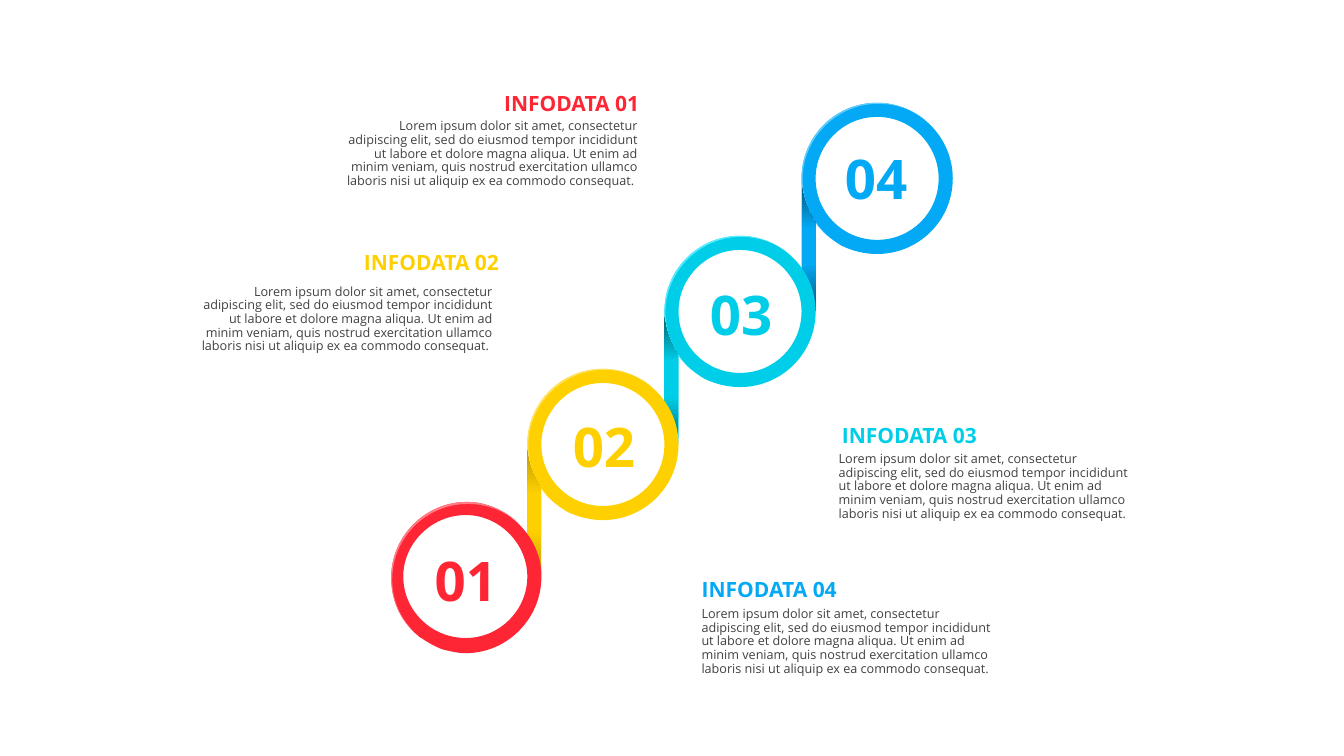
from lxml import etree
from pptx import Presentation
from pptx.dml.color import RGBColor
from pptx.enum.text import MSO_AUTO_SIZE, PP_ALIGN
from pptx.oxml.ns import qn
from pptx.util import Inches, Pt

LEFT, CENTER, RIGHT = PP_ALIGN.LEFT, PP_ALIGN.CENTER, PP_ALIGN.RIGHT
FIT, NO_FIT = MSO_AUTO_SIZE.SHAPE_TO_FIT_TEXT, MSO_AUTO_SIZE.NONE

FONT = "Open Sans"
BODY_COLOR = "414042"
BODY = (
    "Lorem ipsum dolor sit amet, consectetur adipiscing elit, sed do eiusmod "
    "tempor incididunt ut labore et dolore magna aliqua. Ut enim ad minim veniam, "
    "quis nostrud exercitation ullamco laboris nisi ut aliquip ex ea commodo consequat."
)

# An outline is a list of contours relative to the ring's corner. A contour is
# a start, then curves (two controls and an end) or straight lines (an end).
RING = [
    [
        [(0.75, 0)],
        [(0.33, 0), (0, 0.34), (0, 0.75)],
        [(0, 0.77), (0, 0.8), (0, 0.8)],
        [(0, 1.64)],
        [(0.09, 1.76), (0.14, 1.91), (0.14, 2.07)],
        [(0.14, 1.19)],
        [(0.2, 1.28), (0.3, 1.36), (0.4, 1.42)],
        [(0.51, 1.47), (0.62, 1.5), (0.75, 1.5)],
        [(1.16, 1.5), (1.5, 1.17), (1.5, 0.75)],
        [(1.5, 0.34), (1.16, 0), (0.75, 0)],
    ],
    [
        [(0.75, 1.36)],
        [(0.41, 1.36), (0.14, 1.09), (0.14, 0.75)],
        [(0.14, 0.42), (0.41, 0.14), (0.75, 0.14)],
        [(1.09, 0.14), (1.36, 0.42), (1.36, 0.75)],
        [(1.36, 1.09), (1.09, 1.36), (0.75, 1.36)],
    ],
]
GLINT = [[
    [(0.01, 0.76)],
    [(0.01, 0.35), (0.35, 0.01), (0.76, 0.01)],
    [(0.94, 0.01), (1.1, 0.07), (1.23, 0.17)],
    [(1.1, 0.07), (0.93, 0), (0.75, 0)],
    [(0.33, 0), (0, 0.34), (0, 0.75)],
    [(0, 0.99), (0.11, 1.2), (0.28, 1.34)],
    [(0.12, 1.2), (0.01, 0.99), (0.01, 0.76)],
]]
STEM = [[
    [(0, 0.8)],
    [(0, 1.64)],
    [(0.09, 1.76), (0.14, 1.91), (0.14, 2.07)],
    [(0.14, 1.19)],
    [(0.06, 1.07), (0.01, 0.94), (0, 0.8)],
]]
FIRST_RING = [
    [
        [(1.21, 0.17)],
        [(1.09, 0.07), (0.93, 0), (0.75, 0)],
        [(0.34, 0), (0, 0.34), (0, 0.75)],
        [(0, 0.99), (0.1, 1.19), (0.27, 1.33)],
        [(0.28, 1.34), (0.29, 1.35), (0.3, 1.35)],
        [(0.37, 1.4), (0.43, 1.43), (0.5, 1.46)],
        [(0.58, 1.48), (0.65, 1.5), (0.74, 1.5)],
        [(1.15, 1.5), (1.49, 1.16), (1.49, 0.74)],
        [(1.49, 0.51), (1.38, 0.31), (1.21, 0.17)],
    ],
    [
        [(0.74, 1.35)],
        [(0.4, 1.35), (0.12, 1.08), (0.12, 0.74)],
        [(0.12, 0.41), (0.4, 0.13), (0.74, 0.13)],
        [(1.07, 0.13), (1.35, 0.41), (1.35, 0.74)],
        [(1.35, 1.08), (1.07, 1.35), (0.74, 1.35)],
    ],
]
FIRST_GLINT = [[
    [(0.01, 0.77)],
    [(0.01, 0.35), (0.35, 0.02), (0.76, 0.02)],
    [(0.94, 0.02), (1.1, 0.08), (1.23, 0.18)],
    [(1.24, 0.19), (1.26, 0.21), (1.28, 0.23)],
    [(1.26, 0.21), (1.24, 0.19), (1.22, 0.17)],
    [(1.09, 0.07), (0.93, 0), (0.75, 0)],
    [(0.34, 0), (0, 0.34), (0, 0.75)],
    [(0, 0.96), (0.08, 1.15), (0.22, 1.28)],
    [(0.09, 1.15), (0.01, 0.97), (0.01, 0.77)],
]]

# colour, glint, stem shade, then left and top of the ring, number, heading
# and body, and the body's alignment
STEPS = [
    ("FE2635", "FE7D86", None,
     (3.88, 4.98), (4.31, 5.43), (5, 0.9), (3.32, 1.14), RIGHT),
    ("FFD000", "FFE366", "BF9C00",
     (5.23, 3.66), (5.68, 4.1), (3.61, 2.48), (1.88, 2.78), RIGHT),
    ("00CEE8", "58ECFF", "006774",
     (6.59, 2.34), (7.04, 2.79), (8.35, 4.19), (8.22, 4.44), LEFT),
    ("03A9F4", "63CDFD", "01557A",
     (7.95, 1.02), (8.38, 1.44), (6.96, 5.72), (6.86, 5.98), LEFT),
]


def rgb(color):
    return RGBColor.from_string(color)


def paint(s, color):
    s.shadow.inherit = False
    s.line.fill.background()
    s.fill.solid()
    s.fill.fore_color.rgb = rgb(color)


def paint_gradient(s, color, shade):
    """Fill from shade through color back to shade, top to bottom."""
    paint(s, color)
    s.fill.gradient()
    s.fill.gradient_angle = 270
    stops = s._element.spPr.find(qn("a:gradFill")).find(qn("a:gsLst"))
    for stop in list(stops):
        stops.remove(stop)
    for percent, value in ((0, shade), (35, color), (63, color), (100, shade)):
        stop = etree.SubElement(stops, qn("a:gs"), pos=str(percent * 1000))
        etree.SubElement(stop, qn("a:srgbClr"), val=value)


def bend(s, outline):
    """Merge each run of three lines that stands for a curve into one curve."""
    lines = iter(list(s._element.iter(qn("a:lnTo"))))
    for contour in outline:
        for segment in contour[1:]:
            parts = [next(lines) for _ in segment]
            if len(parts) == 3:
                curve = etree.Element(qn("a:cubicBezTo"))
                parts[0].addprevious(curve)
                for part in parts:
                    curve.append(part[0])
                    part.getparent().remove(part)


def add_outline(slide, outline, at):
    builder = None
    for contour in outline:
        start, *points = [
            (Inches(at[0] + x), Inches(at[1] + y))
            for segment in contour for x, y in segment
        ]
        if builder:
            builder.move_to(*start)
        else:
            builder = slide.shapes.build_freeform(*start)
        builder.add_line_segments(points, close=True)
    s = builder.convert_to_shape()
    bend(s, outline)
    return s


def add_ring(slide, at, color, glint, shade):
    """The lowest ring has no stem, so no shade."""
    paint(add_outline(slide, RING if shade else FIRST_RING, at), color)
    paint(add_outline(slide, GLINT if shade else FIRST_GLINT, at), glint)
    if shade:
        paint_gradient(add_outline(slide, STEM, at), color, shade)


def add_text(slide, text, at, size, *, pt, color, bold=False, align=LEFT,
             spacing=None, wrap=False):
    """Wrapped boxes keep their size and margins; others hug the text."""
    s = slide.shapes.add_textbox(*map(Inches, at + size))
    tf = s.text_frame
    tf.word_wrap = wrap
    tf.auto_size = NO_FIT if wrap else FIT
    if not wrap:
        tf.margin_left = tf.margin_right = tf.margin_top = tf.margin_bottom = 0
    p = tf.paragraphs[0]
    p.alignment = align
    p.line_spacing = spacing
    r = p.add_run()
    r.text = text
    r.font.name, r.font.size, r.font.bold = FONT, Pt(pt), bold
    r.font.color.rgb = rgb(color)


def main():
    prs = Presentation()
    prs.slide_width, prs.slide_height = Inches(13.33), Inches(7.5)
    slide = prs.slides.add_slide(prs.slide_layouts[6])
    for color, glint, shade, ring, *_ in reversed(STEPS):
        add_ring(slide, ring, color, glint, shade)
    for n, (color, _, _, _, number, heading, body, align) in enumerate(STEPS, 1):
        add_text(slide, f"{n:02}", number, (0.62, 0.66), pt=39, color=color,
                 bold=True, align=CENTER)
        add_text(slide, f"INFODATA {n:02}", heading, (1.35, 0.25), pt=15,
                 color=color, bold=True)
        text = BODY + " " if align == RIGHT else BODY
        add_text(slide, text, body, (3.1, 1.06), pt=9, color=BODY_COLOR,
                 align=align, spacing=0.9, wrap=True)
    prs.save("out.pptx")


if __name__ == "__main__":
    main()
